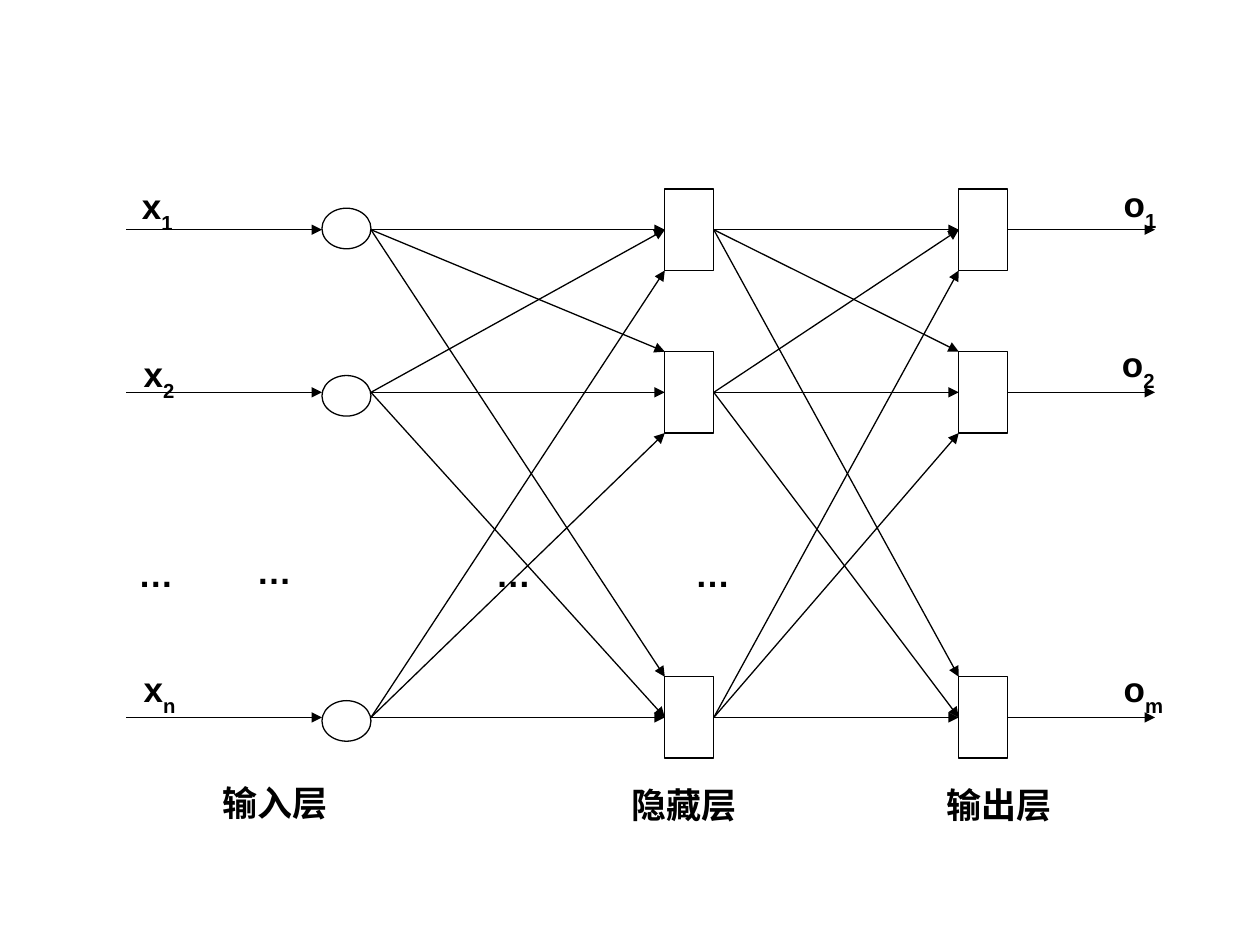
import lxml.etree
import pptx
import pptx.dml.color
import pptx.enum.shapes
import pptx.enum.text
import pptx.oxml.ns
import pptx.util

Pt = pptx.util.Pt
SHAPES = pptx.enum.shapes.MSO_SHAPE
STRAIGHT = pptx.enum.shapes.MSO_CONNECTOR.STRAIGHT

# Content: text, subscript, left, top, width, height
LABELS = [
    ("x", "1", 74, 102, 33, 36),
    ("x", "2", 75, 198, 33, 36),
    ("x", "n", 75, 378, 34, 36),
    ("o", "1", 635, 100.8, 34, 36),
    ("o", "2", 634, 192.2, 34, 36),
    ("o", "m", 635, 378, 38, 36),
    ("输入层", "", 120, 442.8, 75.5, 31.5),
    ("隐藏层", "", 354, 444.2, 75.5, 31.5),
    ("输出层", "", 534, 444.2, 75.5, 31.5),
    ("…", "", 72, 312, 35, 31.5),
    ("…", "", 139.5, 310.3, 35, 31.5),
    ("…", "", 276.3, 312, 35, 31.5),
    ("…", "", 390.2, 312, 35, 31.5),
]

# Grid: three used rows out of four equal steps
ROWS = [131.3 + 92.9 * step for step in (0, 1, 3)]
INPUT_CENTERS = [ROWS[0] - 0.7, ROWS[1] + 2, ROWS[2] + 2]
INPUT_LEFT, HIDDEN_LEFT, OUTPUT_LEFT = 184, 379.9, 547.9
ARROW_START, ARROW_END = 72, 660
NODE_WIDTH, INPUT_HEIGHT, NODE_HEIGHT = 28, 23.2, 46.5
LEFT_SIDE, RIGHT_SIDE = 1, 3

deck = pptx.Presentation()
deck.slide_width, deck.slide_height = Pt(720), Pt(540)
page = deck.slides.add_slide(deck.slide_layouts[6])


def color(value):
    return pptx.dml.color.RGBColor.from_string(value)


def add_node(kind, left, center, height):
    node = page.shapes.add_shape(
        kind, Pt(left), Pt(center - height / 2), Pt(NODE_WIDTH), Pt(height))
    node.shadow.inherit = False
    node.fill.solid()
    node.fill.fore_color.rgb = color("FFFFFF")
    node.line.color.rgb = color("000000")
    node.line.width = Pt(0.75)
    return node


def add_arrow(x1, y1, x2, y2, source=None, target=None):
    arrow = page.shapes.add_connector(STRAIGHT, Pt(x1), Pt(y1), Pt(x2), Pt(y2))
    if source is not None:
        arrow.begin_connect(source, RIGHT_SIDE)
    if target is not None:
        arrow.end_connect(target, LEFT_SIDE)
    arrow.line.color.rgb = color("000000")
    arrow.line.width = Pt(0.75)
    tail = lxml.etree.SubElement(
        arrow.line._get_or_add_ln(), pptx.oxml.ns.qn("a:tailEnd"))
    tail.set("type", "triangle")
    lxml.etree.SubElement(
        arrow._element.spPr, pptx.oxml.ns.qn("a:effectLst"))


def add_label(text, subscript, left, top, width, height):
    box = page.shapes.add_textbox(Pt(left), Pt(top), Pt(width), Pt(height))
    box.text_frame.word_wrap = False
    box.text_frame.auto_size = pptx.enum.text.MSO_AUTO_SIZE.SHAPE_TO_FIT_TEXT
    para = box.text_frame.paragraphs[0]
    para.font.name = "Arial"
    para.font.size = Pt(20)
    para.font.bold = True
    para.font.color.rgb = color("000000")
    para.add_run().text = text
    if subscript:
        span = para.add_run()
        span.text = subscript
        span._r.get_or_add_rPr().set("baseline", "-30000")


def connect_layers(left, right, sources, targets):
    """Join every row to every row: the first row reaches top corners,
    the last row bottom corners, all others the middle of the side."""
    for i, source in enumerate(sources):
        for j, target in enumerate(targets):
            corner = 0 if i == j else (i - 1) * NODE_HEIGHT / 2
            add_arrow(left + NODE_WIDTH, ROWS[i], right, ROWS[j] + corner,
                      source, None if corner else target)


# Nodes
for center in INPUT_CENTERS:
    add_node(SHAPES.OVAL, INPUT_LEFT, center, INPUT_HEIGHT)
hidden, output = [
    [add_node(SHAPES.RECTANGLE, left, row, NODE_HEIGHT) for row in ROWS]
    for left in (HIDDEN_LEFT, OUTPUT_LEFT)]

# Arrows
for row, node in zip(ROWS, output):
    add_arrow(ARROW_START, row, INPUT_LEFT, row)
    add_arrow(OUTPUT_LEFT + NODE_WIDTH, row, ARROW_END, row, source=node)
connect_layers(INPUT_LEFT, HIDDEN_LEFT, [None] * len(ROWS), hidden)
connect_layers(HIDDEN_LEFT, OUTPUT_LEFT, hidden, output)

# Labels
for label in LABELS:
    add_label(*label)

deck.save("out.pptx")
